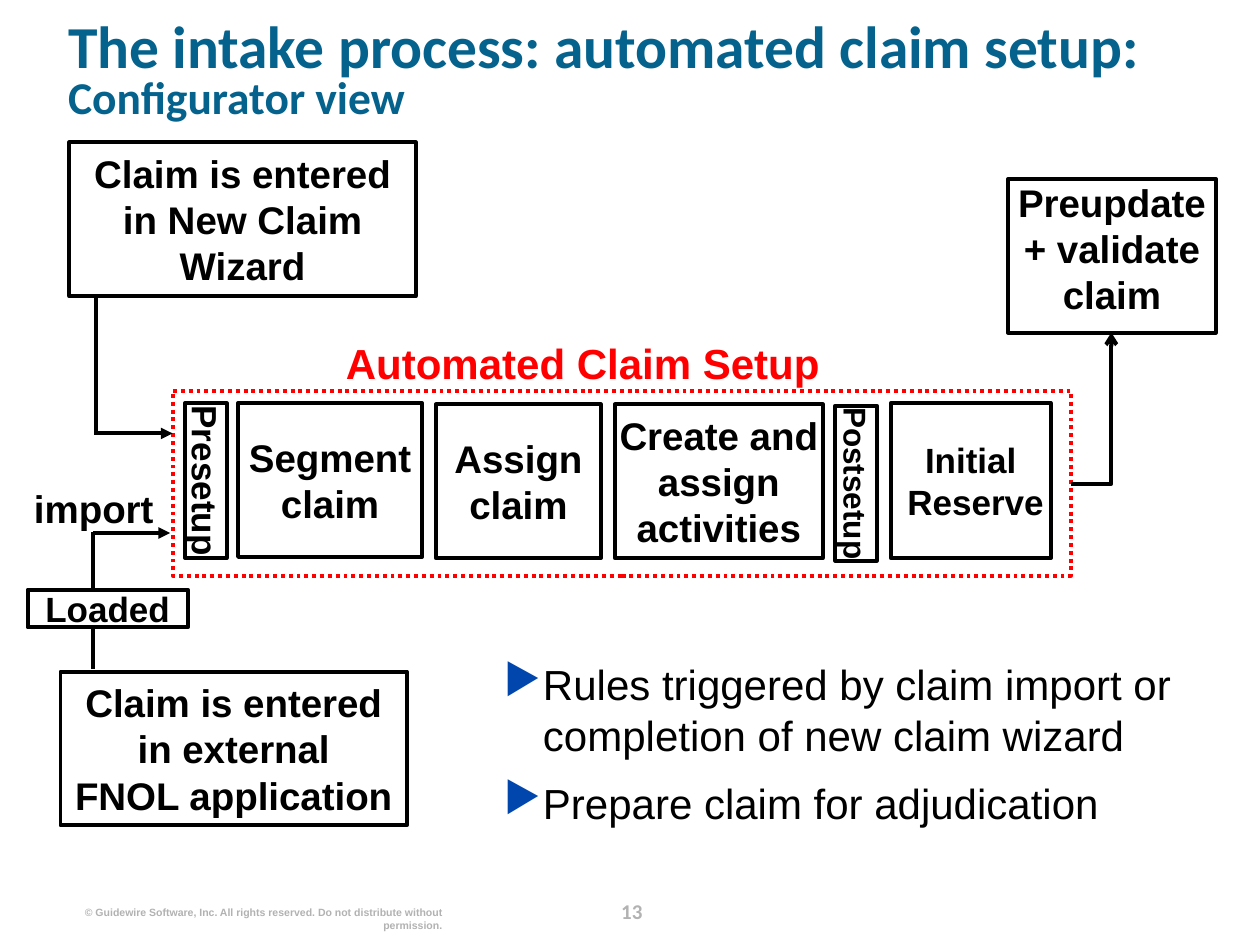
from pptx import Presentation
from pptx.dml.color import RGBColor
from pptx.enum.dml import MSO_LINE
from pptx.enum.shapes import MSO_CONNECTOR, MSO_SHAPE
from pptx.enum.text import MSO_ANCHOR, PP_ALIGN
from pptx.oxml.ns import qn
from pptx.util import Inches, Pt
from lxml import etree

STRAIGHT, ELBOW = MSO_CONNECTOR.STRAIGHT, MSO_CONNECTOR.ELBOW
TOP, MIDDLE = MSO_ANCHOR.TOP, MSO_ANCHOR.MIDDLE
LEFT, CENTER, RIGHT = PP_ALIGN.LEFT, PP_ALIGN.CENTER, PP_ALIGN.RIGHT

COLORS = {"title": "04628C", "ink": "000000", "paper": "FFFFFF",
          "setup": "FF0000", "bullet": "0146AD", "footer": "B2B2B2"}
LINE_WIDTH = Pt(2.25)

TITLE = [("The intake process: automated claim setup:", 34),
         ("Configurator view", 26)]
SETUP_FRAME = (1.37, 3.1, 7.13, 1.47)

# text, (left, top, width, height), size, options
STEPS = [
    ("Claim is entered in New Claim Wizard", (0.55, 1.13, 2.75, 1.22), 22, {"inset": 0.1}),
    ("Claim is entered in external\vFNOL application", (0.48, 5.33, 2.75, 1.22), 22, {"inset": 0.1}),
    ("Preupdate + validate\vclaim", (8, 1.42, 1.65, 1.22), 22, {"anchor": TOP}),
    ("Presetup", (1.47, 3.2, 0.33, 1.23), 20, {"vertical": True}),
    ("Segment\vclaim", (1.89, 3.2, 1.46, 1.22), 22, {}),
    ("Assign\vclaim", (3.46, 3.21, 1.31, 1.22), 22, {}),
    ("Create and assign activities", (4.88, 3.21, 1.65, 1.22), 22, {}),
    ("Postsetup", (6.63, 3.22, 0.33, 1.23), 18, {"vertical": True}),
    ("Initial\v Reserve", (7.07, 3.2, 1.27, 1.23), 20, {}),
    ("Loaded", (0.22, 4.68, 1.27, 0.3), 20, {}),
]

# text, (left, top, width, height), size, color, font, bold, alignment
LABELS = [
    ("Automated Claim Setup", (2.44, 2.68, 4.37, 0.4), 24, "setup", "Arial", True, CENTER),
    ("import", (0.27, 3.85, 1.07, 0.37), 22, "ink", "Arial", True, LEFT),
    ("13", (4.73, 7.13, 0.57, 0.25), 12, "footer", "Calibri", True, CENTER),
    ("© Guidewire Software, Inc. All rights reserved. Do not distribute without permission.",
     (0.61, 7.19, 2.9, 0.22), 6, "footer", "Arial", True, RIGHT),
]

RULES = ["Rules triggered by claim import or completion of new claim wizard",
         "Prepare claim for adjudication"]
RULES_BOX = (4, 5.23, 5.67, 1.45)

# kind, start, end, arrowhead
FLOWS = [
    (STRAIGHT, (0.76, 2.35), (0.76, 3.45), None),
    (STRAIGHT, (0.75, 3.44), (1.37, 3.44), "triangle"),
    (STRAIGHT, (0.74, 5.31), (0.74, 4.22), None),
    (STRAIGHT, (0.74, 4.23), (1.35, 4.23), "triangle"),
    (ELBOW, (8.5, 3.84), (8.82, 2.64), "arrow"),
]


def inches(values):
    return [Inches(value) for value in values]


def rgb(name):
    return RGBColor.from_string(COLORS[name])


def set_font(font, size, color, face="Arial", bold=True):
    font.name, font.size, font.bold = face, Pt(size), bold
    font.color.rgb = rgb(color)


def set_frame(frame, anchor=TOP, inset=0, wrap=True):
    frame.margin_left = frame.margin_right = Inches(inset)
    frame.margin_top = frame.margin_bottom = 0
    frame.vertical_anchor = anchor
    frame.word_wrap = wrap


def add_box(slide, place, line_color):
    box = slide.shapes.add_shape(MSO_SHAPE.RECTANGLE, *inches(place))
    box.shadow.inherit = False
    box.fill.solid()
    box.fill.fore_color.rgb = rgb("paper")
    box.line.color.rgb = rgb(line_color)
    box.line.width = LINE_WIDTH
    return box


def add_step(slide, text, place, size, anchor=MIDDLE, inset=0, vertical=False):
    frame = add_box(slide, place, "ink").text_frame
    set_frame(frame, anchor, inset, wrap=not vertical)
    if vertical:
        frame._txBody.bodyPr.set("vert", "vert")
    frame.text = text
    paragraph = frame.paragraphs[0]
    paragraph.alignment = CENTER
    set_font(paragraph.font, size, "ink")


def add_label(slide, text, place, size, color, face, bold, alignment):
    frame = slide.shapes.add_textbox(*inches(place)).text_frame
    set_frame(frame)
    paragraph = frame.paragraphs[0]
    paragraph.text = text
    paragraph.alignment = alignment
    set_font(paragraph.font, size, color, face, bold)


def add_flow(slide, kind, start, end, head):
    flow = slide.shapes.add_connector(kind, *inches(start + end))
    flow.line.color.rgb = rgb("ink")
    flow.line.width = LINE_WIDTH
    properties = flow._element.spPr
    if kind == ELBOW:  # a single corner
        properties.find(qn("a:prstGeom")).set("prst", "bentConnector2")
    if head:
        etree.SubElement(flow.line._get_or_add_ln(), qn("a:tailEnd"), type=head)
    etree.SubElement(properties, qn("a:effectLst"))


def add_rules(slide):
    frame = slide.shapes.add_textbox(*inches(RULES_BOX)).text_frame
    set_frame(frame)
    for index, rule in enumerate(RULES):
        paragraph = frame.add_paragraph() if index else frame.paragraphs[0]
        paragraph.text = rule
        if index:
            paragraph.space_before = Pt(10)
        properties = paragraph._p.get_or_add_pPr()
        properties.set("marL", str(Inches(0.31)))
        properties.set("indent", str(-Inches(0.31)))
        color = etree.SubElement(properties, qn("a:buClr"))
        etree.SubElement(color, qn("a:srgbClr"), val=COLORS["bullet"])
        etree.SubElement(properties, qn("a:buChar"), char="▶")
        set_font(paragraph.font, 24, "ink", bold=False)


def fill_title(title):
    title.left, title.top, title.width, title.height = inches((0.54, 0.18, 9.1, 0.81))
    set_frame(title.text_frame)
    paragraph = title.text_frame.paragraphs[0]
    paragraph.alignment = LEFT
    paragraph.line_spacing = 0.8
    for index, (text, size) in enumerate(TITLE):
        if index:
            paragraph.add_line_break()
        run = paragraph.add_run()
        run.text = text
        set_font(run.font, size, "title", "Calibri")


def main():
    deck = Presentation()
    deck.slide_width, deck.slide_height = inches((10, 7.5))
    slide = deck.slides.add_slide(deck.slide_layouts[5])
    fill_title(slide.shapes.title)
    add_box(slide, SETUP_FRAME, "setup").line.dash_style = MSO_LINE.ROUND_DOT
    for flow in FLOWS:
        add_flow(slide, *flow)
    for text, place, size, options in STEPS:
        add_step(slide, text, place, size, **options)
    for label in LABELS:
        add_label(slide, *label)
    add_rules(slide)
    deck.save("out.pptx")


if __name__ == "__main__":
    main()
